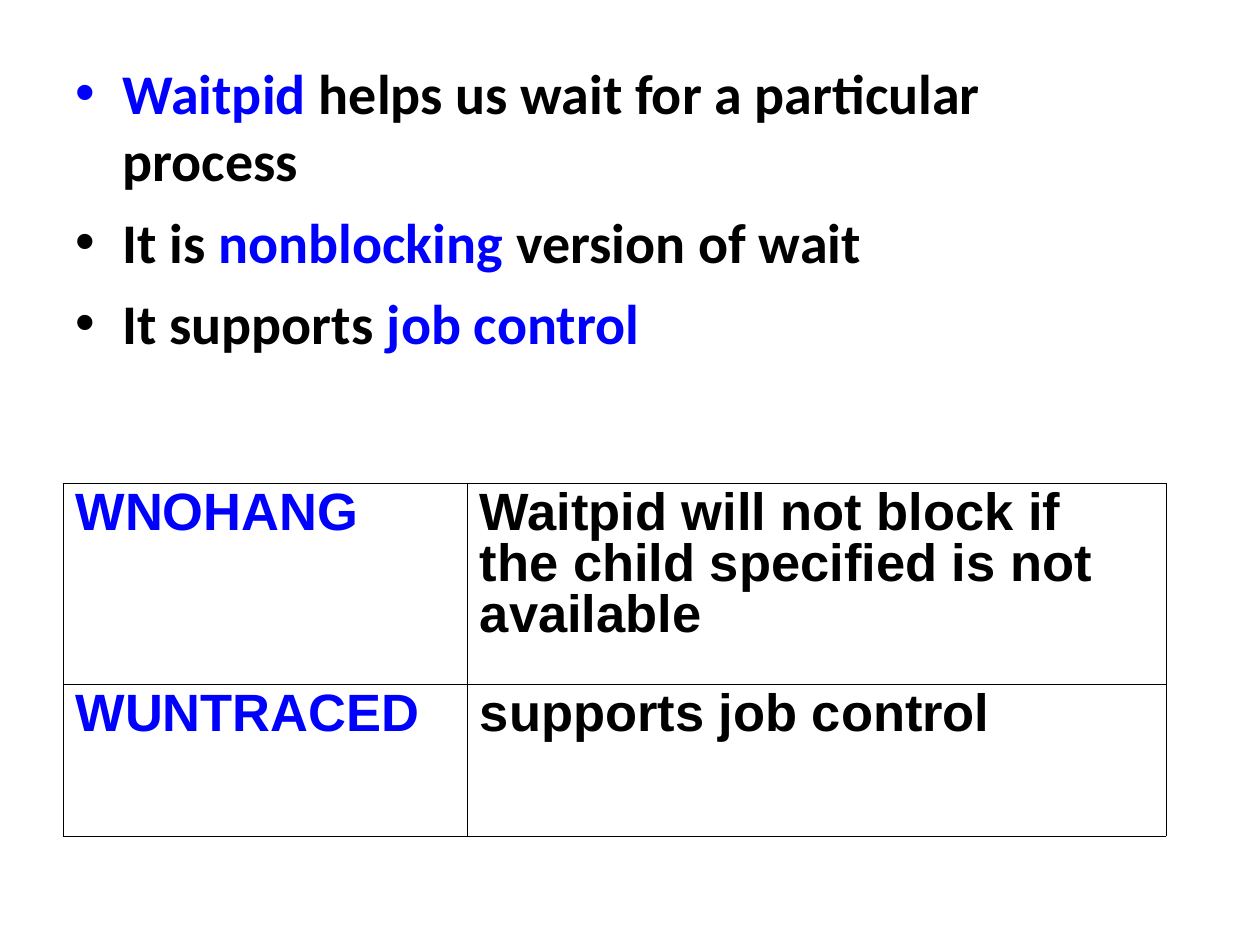
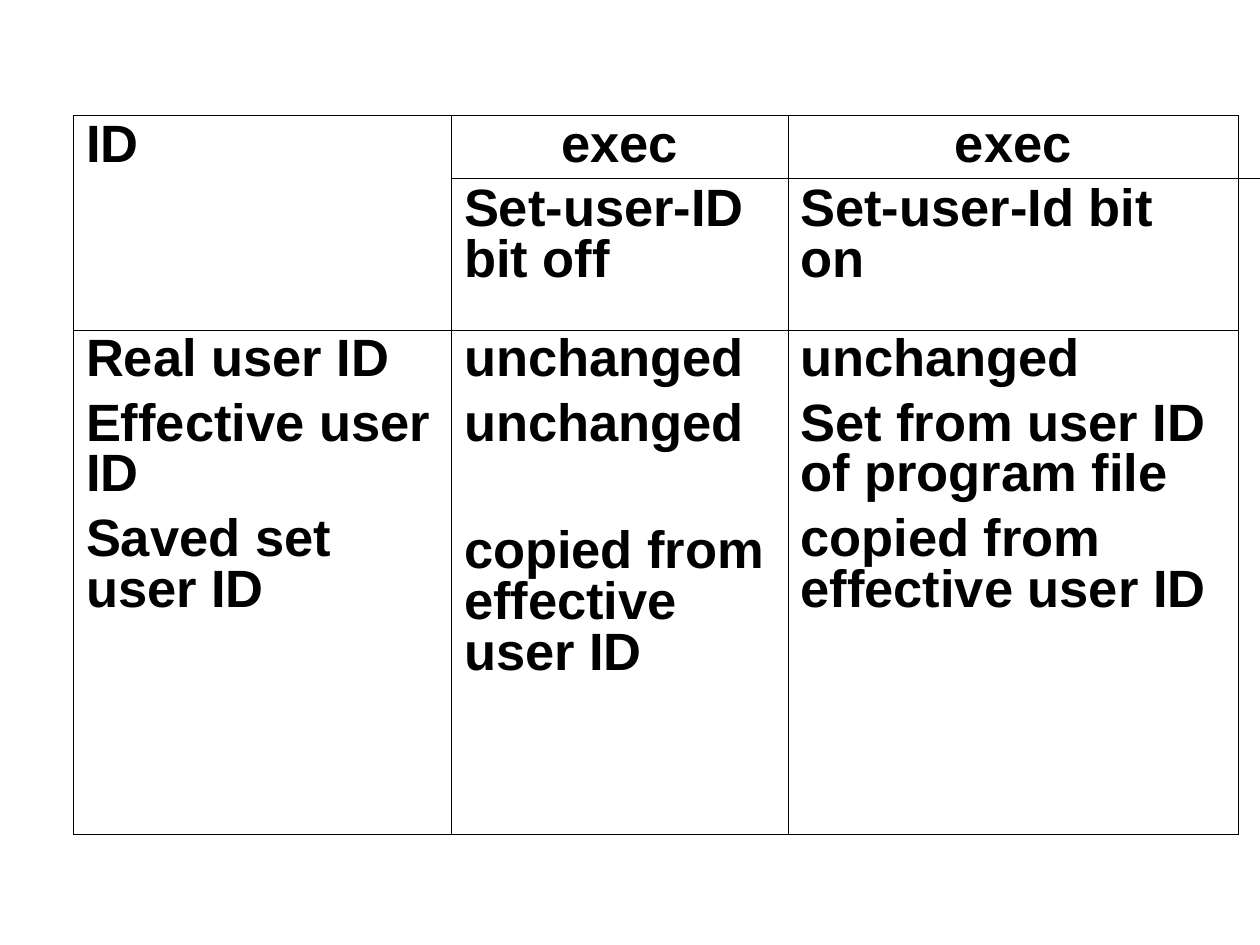
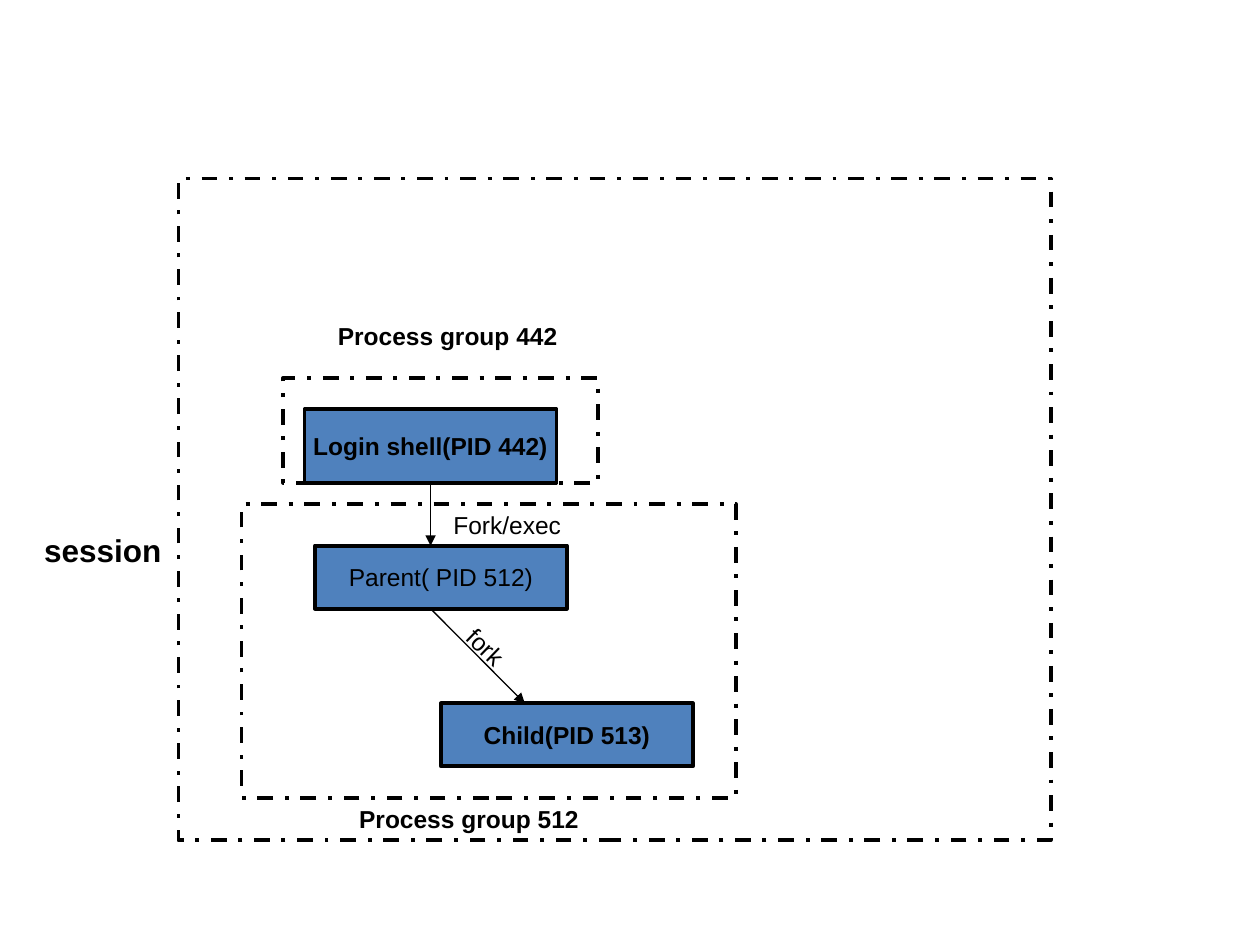
import pptx
import pptx.dml.color
import pptx.enum.dml
import pptx.enum.shapes
import pptx.enum.text
import pptx.oxml.ns
import pptx.util
from lxml import etree

Cm, Pt = pptx.util.Cm, pptx.util.Pt
Align = pptx.enum.text.PP_ALIGN
qn = pptx.oxml.ns.qn

BLACK, WHITE, BLUE, STEEL = "000000", "FFFFFF", "0000FF", "4F81BD"
OUTER, INNER = 0.23, 0.11  # table rule widths in points


def color(code):
    return pptx.dml.color.RGBColor.from_string(code)


def style(font, size, code=BLACK, bold=True, name="Arial"):
    font.size, font.bold, font.name = Pt(size), bold, name
    font.color.rgb = color(code)


def label(slide, text, left, top, width, height, size=14, bold=True, wrap=True, turn=0):
    box = slide.shapes.add_textbox(Cm(left), Cm(top), Cm(width), Cm(height))
    box.rotation = turn
    frame = box.text_frame
    frame.text = text
    frame.word_wrap = wrap
    frame.auto_size = pptx.enum.text.MSO_AUTO_SIZE.SHAPE_TO_FIT_TEXT
    style(frame.paragraphs[0].runs[0].font, size, bold=bold)


def bullet(para, code):
    props = para._p.get_or_add_pPr()
    props.set("marL", str(Cm(0.95)))
    props.set("indent", str(-Cm(0.95)))
    tint = etree.SubElement(props, qn("a:buClr"))
    etree.SubElement(tint, qn("a:srgbClr"), val=code)
    etree.SubElement(props, qn("a:buFont"), typeface="Arial")
    etree.SubElement(props, qn("a:buChar"), char="•")


def bullets(slide, items, left, top, width, height):
    """Each item is a list of (text, colour) pieces; the first colours the bullet."""
    frame = slide.shapes.add_textbox(Cm(left), Cm(top), Cm(width), Cm(height)).text_frame
    frame.word_wrap = True
    for i, item in enumerate(items):
        para = frame.add_paragraph() if i else frame.paragraphs[0]
        bullet(para, item[0][1])
        if i:
            para.space_before = Pt(8)
        for text, code in item:
            run = para.add_run()
            run.text = text
            style(run.font, 32, code, name="Calibri")


def border(cell, edges):
    """Rule the four sides; edges maps L, R, T, B to widths in points."""
    props = cell._tc.get_or_add_tcPr()
    for side, width in edges.items():
        line = etree.SubElement(props, qn("a:ln" + side), w=str(Pt(width)))
        fill = etree.SubElement(line, qn("a:solidFill"))
        etree.SubElement(fill, qn("a:srgbClr"), val=BLACK)


def write(cell, lines, code=BLACK, gaps=None, head=False):
    """Fill a cell; gaps holds wider space before by line, head centres line 0."""
    frame = cell.text_frame
    for i, text in enumerate(lines):
        para = frame.add_paragraph() if i else frame.paragraphs[0]
        para.text = text
        para.line_spacing = 0.87
        if i:
            para.space_before = Pt((gaps or {}).get(i, 7.5))
        if head and i == 0:
            para.alignment = Align.CENTER
        style(para.runs[0].font, 30, code)


def grid(slide, left, top, cols, rows):
    """Add an unfilled ruled table and return it."""
    frame = slide.shapes.add_table(len(rows), len(cols), Cm(left), Cm(top),
                                   Cm(sum(cols)), Cm(sum(rows)))
    table = frame.table
    table.first_row = table.horz_banding = False
    for col, width in zip(table.columns, cols):
        col.width = Cm(width)
    for row, height in zip(table.rows, rows):
        row.height = Cm(height)
    for r in range(len(rows)):
        for c in range(len(cols)):
            cell = table.cell(r, c)
            ends = {"L": c == 0, "R": c == len(cols) - 1,
                    "T": r == 0, "B": r == len(rows) - 1}
            border(cell, {side: OUTER if end else INNER for side, end in ends.items()})
            cell.fill.background()
    return table


def rect(slide, left, top, width, height, fill):
    shape = slide.shapes.add_shape(pptx.enum.shapes.MSO_SHAPE.RECTANGLE,
                                   Cm(left), Cm(top), Cm(width), Cm(height))
    shape.shadow.inherit = False
    shape.fill.solid()
    shape.fill.fore_color.rgb = color(fill)
    shape.line.color.rgb = color(BLACK)
    shape.line.width = Pt(2.25)
    return shape


def group(slide, left, top, width, height):
    shape = rect(slide, left, top, width, height, WHITE)
    shape.line.dash_style = pptx.enum.dml.MSO_LINE.DASH_DOT


def node(slide, text, left, top, height=1.27, bold=True):
    shape = rect(slide, left, top, 5.08, height, STEEL)
    frame = shape.text_frame
    frame.text = text
    frame.word_wrap = False
    frame.vertical_anchor = pptx.enum.text.MSO_ANCHOR.MIDDLE
    para = frame.paragraphs[0]
    para.alignment = Align.CENTER
    style(para.runs[0].font, 14, bold=bold)
    return shape


def link(slide, x1, y1, x2, y2, arrow=True):
    line = slide.shapes.add_connector(pptx.enum.shapes.MSO_CONNECTOR.STRAIGHT,
                                      Cm(x1), Cm(y1), Cm(x2), Cm(y2))
    line.line.color.rgb = color(BLACK)
    line.line.width = Pt(0.75)
    if arrow:
        etree.SubElement(line.line._get_or_add_ln(), qn("a:tailEnd"), type="triangle")
    etree.SubElement(line._element.spPr, qn("a:effectLst"))
    return line


def wait_slide(slide):
    bullets(slide, [
        [("Waitpid", BLUE), (" helps us wait for a particular process", BLACK)],
        [("It is ", BLACK), ("nonblocking", BLUE), (" version of wait", BLACK)],
        [("It supports ", BLACK), ("job control", BLUE)],
    ], 1.27, 1.06, 22.43, 15.98)
    table = grid(slide, 1.27, 9.74, [8.15, 14.08], [4.06, 3.05])
    flags = [
        ("WNOHANG", "Waitpid will not block if the child specified is not available"),
        ("WUNTRACED", "supports job control"),
    ]
    for r, (flag, text) in enumerate(flags):
        write(table.cell(r, 0), [flag], BLUE)
        write(table.cell(r, 1), [text])


def exec_slide(slide):
    table = grid(slide, 1.48, 2.33, [7.62, 6.78, 9.09], [4.32, 10.16])
    write(table.cell(0, 0), ["ID"])
    write(table.cell(0, 1), ["exec", "Set-user-ID bit off"], head=True)
    write(table.cell(0, 2), ["exec", "Set-user-Id bit on"], head=True)
    write(table.cell(1, 0), ["Real user ID", "Effective user ID", "Saved set user ID"])
    write(table.cell(1, 1), ["unchanged", "unchanged", "copied from effective user ID"],
          gaps={2: 44})
    write(table.cell(1, 2), ["unchanged", "Set from user ID of program file",
                             "copied from effective user ID"])
    link(slide, 9.09, 3.6, 25.4, 3.6, arrow=False)


def group_slide(slide):
    group(slide, 3.6, 3.6, 17.58, 13.34)
    group(slide, 5.71, 7.62, 6.35, 2.11)
    group(slide, 4.87, 10.16, 9.96, 5.92)

    shell = node(slide, "Login shell(PID 442)", 6.14, 8.25, 1.48)
    link(slide, 8.68, 9.73, 8.68, 11).begin_connect(shell, 2)
    node(slide, "Parent( PID 512)", 6.35, 11, bold=False)
    link(slide, 8.68, 12.27, 10.58, 14.18)
    node(slide, "Child(PID 513)", 8.89, 14.18)

    label(slide, "Process group 512", 6.99, 16.08, 5.08, 0.86)
    label(slide, "Process group 442", 6.56, 6.35, 5.08, 0.86)
    label(slide, "Fork/exec", 8.89, 10.16, 3.2, 0.86, bold=False)
    label(slide, "session", 0.64, 10.59, 2.87, 1.02, size=18, wrap=False)
    label(slide, "fork", 9.09, 12.7, 1.57, 0.86, bold=False, turn=44)


def main():
    deck = pptx.Presentation()
    deck.slide_width, deck.slide_height = Cm(25.4), Cm(19.05)
    for build in (wait_slide, exec_slide, group_slide):
        build(deck.slides.add_slide(deck.slide_layouts[6]))
    deck.save("out.pptx")


if __name__ == "__main__":
    main()
